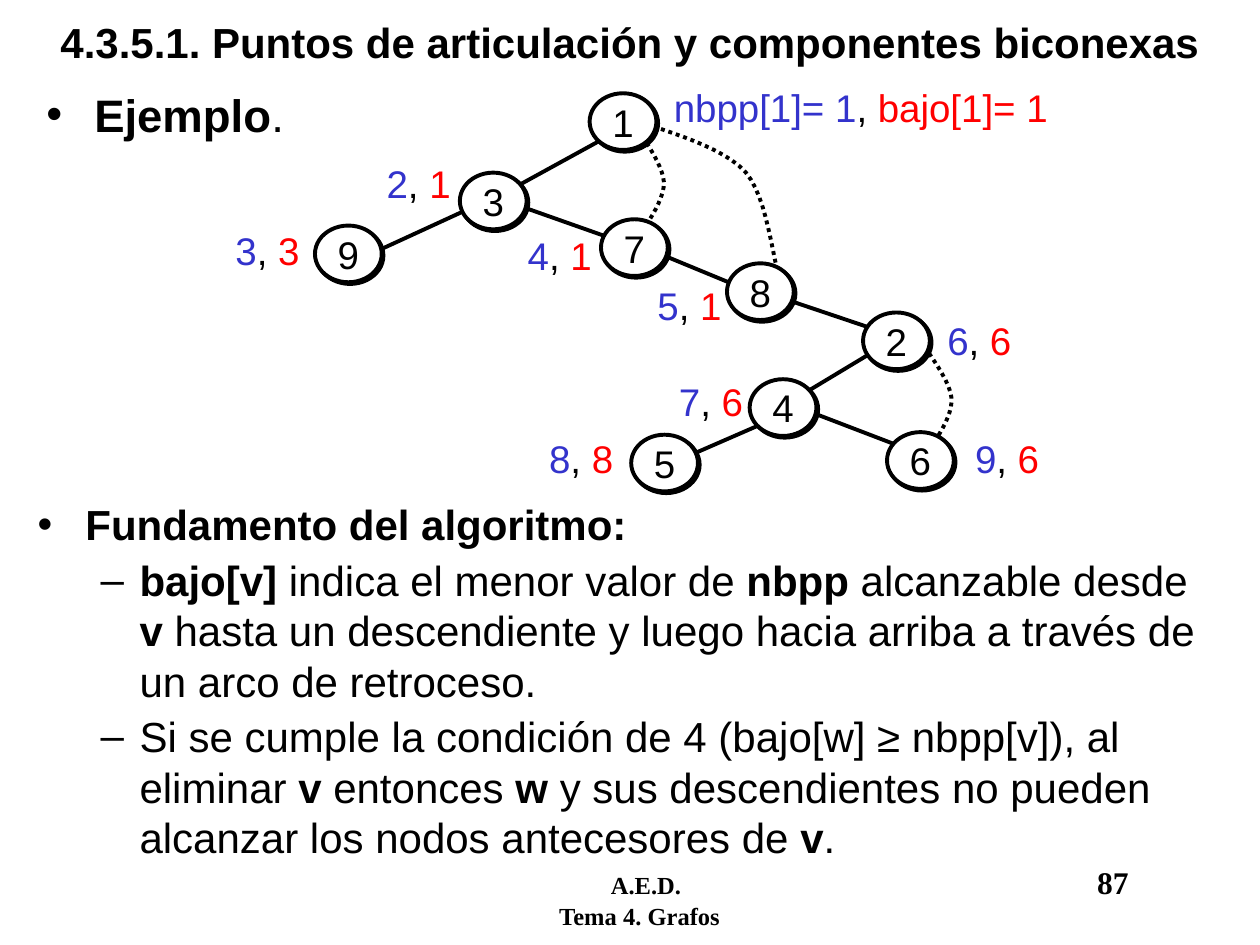
import pptx
import pptx.util
import pptx.dml.color
import pptx.enum.dml
import pptx.enum.shapes
import pptx.enum.text
import pptx.oxml.ns
import lxml.etree

Inches, Pt = pptx.util.Inches, pptx.util.Pt
ANCHOR = pptx.enum.text.MSO_ANCHOR
ALIGN = pptx.enum.text.PP_ALIGN
BLACK, WHITE, BLUE, RED = "000000", "FFFFFF", "3333CC", "FF0000"

TITLE = "4.3.5.1. Puntos de articulación y componentes biconexas"
EXAMPLE = [(0, "*Ejemplo*.")]
BASIS = [
    (0, "*Fundamento del algoritmo:*"),
    (1, "*bajo[v]* indica el menor valor de *nbpp* alcanzable desde *v* hasta un "
        "descendiente y luego hacia arriba a través de un arco de retroceso."),
    (1, "Si se cumple la condición de 4 (bajo[w] ≥ nbpp[v]), al eliminar *v* entonces "
        "*w* y sus descendientes no pueden alcanzar los nodos antecesores de *v*."),
]
LEVELS = [("•", 0.38, 0.38, 0), ("–", 0.81, 0.31, 3)]
NODES = [
    ("1", 4.68, 0.74), ("2", 6.85, 2.48), ("3", 3.65, 1.37),
    ("7", 4.77, 1.74), ("8", 5.77, 2.09), ("6", 7.04, 3.43),
    ("4", 5.95, 3.01), ("5", 5.01, 3.45), ("9", 2.5, 1.79),
]
TREE_EDGES = [
    (7.19, 3.56, 6.25, 3.2), (6.99, 2.63, 6.07, 2.32), (5.01, 0.98, 3.99, 1.54),
    (5.08, 1.95, 6.17, 2.4), (3.89, 1.58, 3.02, 1.98), (5.37, 3.66, 6.22, 3.29),
    (5.13, 1.99, 3.97, 1.58), (7.1, 2.69, 6.22, 3.22),
]
BACK_EDGES = [
    [(5.13, 0.98), (5.26, 1.04), (5.74, 1.16), (5.92, 1.37),
     (6.09, 1.57), (6.13, 2.04), (6.19, 2.22)],
    [(7.27, 2.65), (7.31, 2.73), (7.53, 2.99), (7.55, 3.15),
     (7.57, 3.31), (7.41, 3.5), (7.37, 3.59)],
    [(5.03, 0.98), (5.07, 1.05), (5.26, 1.29), (5.27, 1.45),
     (5.27, 1.61), (5.1, 1.82), (5.05, 1.91)],
]
LABELS = [
    ("nbpp[1]= 1", "bajo[1]= 1", 5.25, 0.62, 3.3),
    ("2", "1", 2.97, 1.22, 0.77), ("3", "3", 1.77, 1.75, 0.77),
    ("4", "1", 4.09, 1.79, 0.77), ("5", "1", 5.12, 2.19, 0.77),
    ("6", "6", 7.42, 2.47, 0.77), ("7", "6", 5.29, 2.95, 0.77),
    ("8", "8", 4.26, 3.4, 0.77), ("9", "6", 7.64, 3.4, 0.77),
]


def rgb(value):
    return pptx.dml.color.RGBColor.from_string(value)


def sub(parent, tag, **attrs):
    return lxml.etree.SubElement(parent, pptx.oxml.ns.qn(tag), attrs)


def set_font(p, size, name="Arial", bold=None):
    p.font.size, p.font.name, p.font.bold = Pt(size), name, bold
    p.font.color.rgb = rgb(BLACK)


def add_run(p, text):
    r = p.add_run()
    r.text = text
    return r


def add_text(slide, x, y, w, h):
    tf = slide.shapes.add_textbox(Inches(x), Inches(y), Inches(w), Inches(h)).text_frame
    tf.word_wrap = True
    return tf


def next_paragraph(tf, first):
    return tf.paragraphs[0] if first else tf.add_paragraph()


def add_bullets(slide, items, size, *box):
    tf = add_text(slide, *box)
    for i, (level, text) in enumerate(items):
        p = next_paragraph(tf, i == 0)
        mark, margin, hang, before = LEVELS[level]
        p.level = level
        pPr = p._p.get_or_add_pPr()
        pPr.set("marL", str(Inches(margin)))
        pPr.set("indent", str(-Inches(hang)))
        sub(sub(pPr, "a:buClr"), "a:srgbClr", val=BLACK)
        sub(pPr, "a:buFont", typeface="Arial")
        sub(pPr, "a:buChar", char=mark)
        p.space_before = Pt(before)
        set_font(p, size)
        for j, part in enumerate(text.split("*")):
            if part:
                add_run(p, part).font.bold = j % 2 == 1


def style_line(line, dash=None):
    line.color.rgb = rgb(BLACK)
    line.width = Pt(2.25)
    if dash:
        line.dash_style = dash


def bezier(a, b, c, d, steps=12):
    for i in range(1, steps + 1):
        t = i / steps
        u = 1 - t
        yield tuple(Inches(u**3 * k + 3 * u * u * t * m + 3 * u * t * t * n + t**3 * o)
                    for k, m, n, o in zip(a, b, c, d))


def add_back_edge(slide, pts):
    fb = slide.shapes.build_freeform(Inches(pts[0][0]), Inches(pts[0][1]))
    for k in range(0, len(pts) - 1, 3):
        fb.add_line_segments(list(bezier(*pts[k:k + 4])), close=False)
    sp = fb.convert_to_shape()
    sp.shadow.inherit = False
    sp.fill.background()
    style_line(sp.line, pptx.enum.dml.MSO_LINE.ROUND_DOT)


def add_tree_edge(slide, ends):
    cx = slide.shapes.add_connector(pptx.enum.shapes.MSO_CONNECTOR.STRAIGHT, *map(Inches, ends))
    style_line(cx.line)
    sub(cx._element.spPr, "a:effectLst")


def add_node(slide, name, x, y):
    sp = slide.shapes.add_shape(pptx.enum.shapes.MSO_SHAPE.OVAL,
                                Inches(x), Inches(y), Inches(0.53), Inches(0.45))
    sp.fill.solid()
    sp.fill.fore_color.rgb = rgb(WHITE)
    style_line(sp.line)
    sp.shadow.inherit = False
    effects = sp._element.spPr.find(pptx.oxml.ns.qn("a:effectLst"))
    shadow = sub(effects, "a:outerShdw", blurRad="0", dist=str(Pt(1.4)), dir="2700000")
    sub(shadow, "a:srgbClr", val=BLACK)
    tf = sp.text_frame
    tf.word_wrap = False
    tf.vertical_anchor = ANCHOR.MIDDLE
    p = tf.paragraphs[0]
    p.alignment = ALIGN.CENTER
    set_font(p, 22)
    add_run(p, name)


def add_label(slide, order, low, x, y, w):
    p = add_text(slide, x, y, w, 0.47).paragraphs[0]
    set_font(p, 22)
    for text, color in ((order, BLUE), (", ", BLACK), (low, RED)):
        add_run(p, text).font.color.rgb = rgb(color)


def add_footer(slide):
    tf = add_text(slide, 3.62, 6.8, 5.8, 0.5)
    p = tf.paragraphs[0]
    tabs = sub(p._p.get_or_add_pPr(), "a:tabLst")
    for pos in (1.13, 4.99):
        sub(tabs, "a:tab", pos=str(Inches(pos)), algn="l")
    set_font(p, 14, "Times New Roman", True)
    add_run(p, "\tA.E.D.\t")
    add_run(p, "87").font.size = Pt(18)
    p = tf.add_paragraph()
    p._p.get_or_add_pPr().set("marL", str(Inches(0.72)))
    set_font(p, 14, "Times New Roman", True)
    add_run(p, "Tema 4. Grafos")


def add_title(slide):
    sp = slide.shapes.title
    sp.left, sp.top, sp.width, sp.height = map(Inches, (0, 0, 10, 0.71))
    tf = sp.text_frame
    tf.auto_size = pptx.enum.text.MSO_AUTO_SIZE.NONE
    tf.vertical_anchor = ANCHOR.MIDDLE
    p = tf.paragraphs[0]
    p.alignment = ALIGN.CENTER
    p.line_spacing = 0.9
    set_font(p, 24, bold=True)
    add_run(p, TITLE)


def main():
    prs = pptx.Presentation()
    prs.slide_width, prs.slide_height = Inches(10), Inches(7.5)
    slide = prs.slides.add_slide(prs.slide_layouts[5])
    add_footer(slide)
    add_title(slide)
    add_bullets(slide, EXAMPLE, 26, 0.27, 0.64, 9.47, 1.1)
    add_bullets(slide, BASIS, 24, 0.2, 3.91, 9.5, 3.02)
    for pts in BACK_EDGES:
        add_back_edge(slide, pts)
    for ends in TREE_EDGES:
        add_tree_edge(slide, ends)
    for node in NODES:
        add_node(slide, *node)
    for label in LABELS:
        add_label(slide, *label)
    prs.save("out.pptx")


if __name__ == "__main__":
    main()
